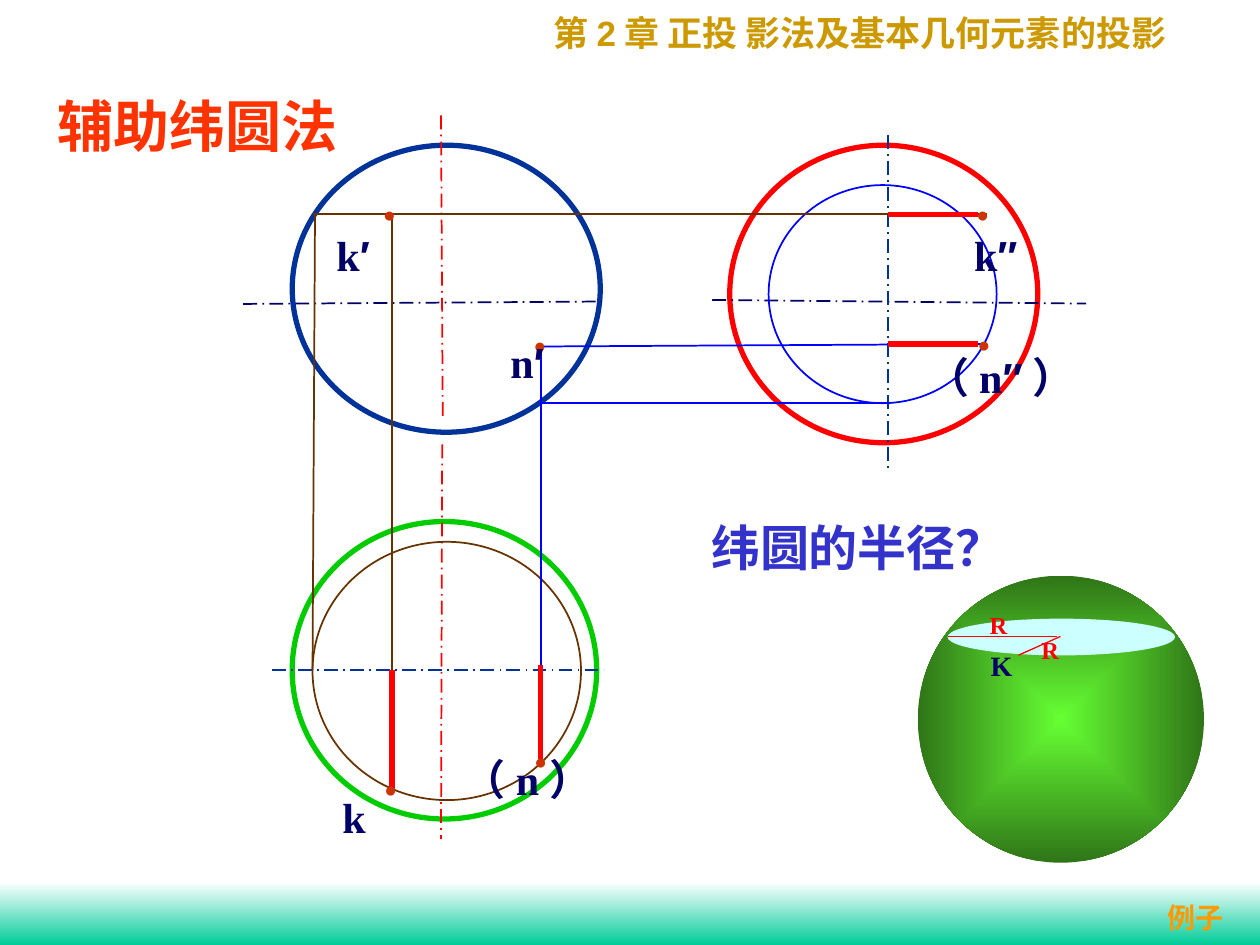
from lxml import etree
from pptx import Presentation
from pptx.dml.color import RGBColor
from pptx.enum.dml import MSO_LINE
from pptx.enum.shapes import MSO_CONNECTOR, MSO_SHAPE
from pptx.enum.text import MSO_ANCHOR, MSO_AUTO_SIZE, PP_ALIGN
from pptx.oxml.ns import qn
from pptx.util import Pt

STRAIGHT = MSO_CONNECTOR.STRAIGHT
OVAL, RECT = MSO_SHAPE.OVAL, MSO_SHAPE.RECTANGLE
DASH_DOT = MSO_LINE.LONG_DASH_DOT
LEFT, CENTER = PP_ALIGN.LEFT, PP_ALIGN.CENTER
TOP, MIDDLE = MSO_ANCHOR.TOP, MSO_ANCHOR.MIDDLE
NO_FIT = MSO_AUTO_SIZE.NONE

COLORS = {
    "white": "FFFFFF", "teal": "00CC99", "header": "CC9900", "title": "FF3300",
    "question": "3333CC", "example": "FF9900", "label": "000066", "point": "CC3300",
    "navy": "003399", "red": "FF0000", "green": "00CC00", "brown": "663300",
    "blue": "0000FF", "sphere_light": "66FF33", "sphere_dark": "2F7517",
    "latitude": "CCFFFF",
}
SERIF, SANS = "Times New Roman", "Arial"
PRIMES = "′″"


def rgb(name):
    return RGBColor.from_string(COLORS[name])


def add_line(slide, start, end, color, width=1.0, dash=None):
    line = slide.shapes.add_connector(STRAIGHT, *map(Pt, (*start, *end)))
    line.line.color.rgb = rgb(color)
    line.line.width = Pt(width)
    if dash is not None:
        line.line.dash_style = dash
    etree.SubElement(line._element.spPr, qn("a:effectLst"))


def add_plain_shape(slide, kind, box):
    """Add a preset shape without shadow, fill or line."""
    shape = slide.shapes.add_shape(kind, *map(Pt, box))
    shape.shadow.inherit = False
    shape.fill.background()
    shape.line.fill.background()
    return shape


def add_circle(slide, box, color, width):
    circle = add_plain_shape(slide, OVAL, box)
    circle.line.color.rgb = rgb(color)
    circle.line.width = Pt(width)


def fill_gradient(shape, first, last):
    shape.fill.gradient()
    for stop, color in zip(shape.fill.gradient_stops, (first, last)):
        stop.color.rgb = rgb(color)
    shape.fill.gradient_angle = 270


def format_text(frame, runs, size, color, align, anchor, wrap):
    """Fill a frame with one bold paragraph of (text, font) runs."""
    frame.word_wrap = wrap
    frame.auto_size = NO_FIT
    frame.vertical_anchor = anchor
    paragraph = frame.paragraphs[0]
    paragraph.alignment = align
    paragraph.font.size = Pt(size)
    paragraph.font.bold = True
    paragraph.font.color.rgb = rgb(color)
    paragraph.font.name = runs[0][1]
    for text, font in runs:
        run = paragraph.add_run()
        run.text = text
        if font != runs[0][1]:
            run.font.name = font


def add_text(slide, box, runs, size, color, align=CENTER, anchor=MIDDLE, wrap=True):
    text_box = slide.shapes.add_textbox(*map(Pt, box))
    format_text(text_box.text_frame, runs, size, color, align, anchor, wrap)


def add_point(slide, center, label, label_center):
    """Mark a projected point and put its letter at label_center."""
    x, y = center
    marker_box = slide.shapes.add_textbox(Pt(x - 13), Pt(y - 11), Pt(26), Pt(22))
    format_text(marker_box.text_frame, [("●", SANS)], 12, "point", CENTER, MIDDLE, False)
    marker_box.text_frame.paragraphs[0].font.bold = False
    x, y = label_center
    runs = [(c, SANS if c in PRIMES else SERIF) for c in label]
    add_text(slide, (x - 45, y - 18, 90, 36), runs, 24, "label", wrap=False)


def add_view(slide, box, color, axes, inner=None):
    """Draw a sphere outline, its axes and, if given, its latitude circle."""
    left, top, _, _ = box
    add_circle(slide, box, color, 3)
    for (x1, y1), (x2, y2), axis_color in axes:
        add_line(slide, (left + x1, top + y1), (left + x2, top + y2),
                 axis_color, dash=DASH_DOT)
    if inner:
        (x, y, width, height), inner_color = inner
        add_circle(slide, (left + x, top + y, width, height), inner_color, 1)


def add_projections(slide):
    front_k, front_n, side_axis, top_axis = 224, 309, 507.6, 383
    k_level, n_level, k_depth, n_depth = 122.4, 196.6, 451.5, 434
    for start, end, color in (
        ((178.6, k_level), (564, k_level), "brown"),
        ((front_k, k_level), (front_k, k_depth), "brown"),
        ((180, k_level), (178.6, top_axis), "brown"),
        ((front_n, 198), (564, n_level), "blue"),
        ((front_n, 198), (front_n, n_depth), "blue"),
        ((310, 230.4), (side_axis, 230.4), "blue"),
    ):
        add_line(slide, start, end, color)
    for start, end in (
        ((front_k, top_axis), (front_k, k_depth)),
        ((side_axis, k_level), (558.7, k_level)),
        ((front_n, 380), (front_n, n_depth)),
        ((side_axis, n_level), (558.7, n_level)),
    ):
        add_line(slide, start, end, "red", 3)
    for center, label, label_center in (
        ((222.5, 122.4), "k′", (201.8, 145.4)),
        ((223.2, 450.7), "k", (202.3, 466.6)),
        ((561.6, 122.4), "k″", (569, 145.4)),
        ((308.5, 197.3), "n′", (301.2, 206.6)),
        ((308.9, 434.9), "（n）", (301.5, 445)),
        ((562.3, 196.6), "（n″）", (572, 215)),
    ):
        add_point(slide, center, label, label_center)


def add_sphere(slide, left, top, width, height):
    sphere = add_plain_shape(slide, OVAL, (left, top, width, height))
    fill_gradient(sphere, "sphere_light", "sphere_dark")
    linear = sphere._element.spPr.find(".//" + qn("a:lin"))
    radial = etree.Element(qn("a:path"), {"path": "rect"})
    etree.SubElement(radial, qn("a:fillToRect"), dict.fromkeys("ltrb", "50000"))
    linear.getparent().replace(linear, radial)

    latitude = add_plain_shape(slide, OVAL, (left + 17, top + 24.5, 130, 21))
    latitude.fill.solid()
    latitude.fill.fore_color.rgb = rgb("latitude")
    for start, end in (((81.5, 34.7), (57.5, 45.4)), ((79.3, 34.7), (17, 34.7))):
        add_line(slide, (left + start[0], top + start[1]),
                 (left + end[0], top + end[1]), "red", 0.75)
    for text, x, y, size, color in (("R", 34, 16, 14, "red"),
                                    ("R", 63.5, 30.2, 14, "red"),
                                    ("K", 34.5, 38, 16, "label")):
        add_text(slide, (left + x, top + y, 39, 26), [(text, SERIF)], size, color,
                 LEFT, TOP)


def add_header_and_footer(slide):
    band = add_plain_shape(slide, RECT, (0, 504, 720, 36))
    fill_gradient(band, "white", "teal")
    add_text(slide, (309, 3, 381, 32),
             [("第", SERIF), ("2", SANS), ("章 正投 影法及基本几何元素的投影", SERIF)],
             20, "header", LEFT, TOP)
    add_text(slide, (649.5, 511, 67, 27), [("例子", SERIF)], 16, "example", anchor=TOP)


def add_title(slide, left, top, width, height):
    title = slide.shapes.title
    title.left, title.top, title.width, title.height = map(Pt, (left, top, width, height))
    format_text(title.text_frame, [("辅助纬圆法", SERIF)], 32, "title", CENTER, MIDDLE, False)


def main():
    deck = Presentation()
    deck.slide_width, deck.slide_height = Pt(720), Pt(540)
    slide = deck.slides.add_slide(deck.slide_layouts[5])
    add_header_and_footer(slide)
    add_title(slide, 25, 49, 176, 45)
    add_view(slide, (167, 83, 176, 164), "navy",
             [((-28, 90.7), (177, 89.3), "label"), ((85, -17), (86, 155), "red")])
    add_view(slide, (167, 298, 174, 170), "green",
             [((-11.5, 85), (178, 85), "navy"), ((85.7, -44), (85, 181.5), "red")],
             ((11.6, 11.6, 153.4, 147.6), "brown"))
    add_view(slide, (417, 83, 176, 170), "red",
             [((-10, 88.4), (203.6, 90.5), "label"), ((90.6, -6), (90.6, 187), "navy")],
             ((22.2, 22.8, 130.3, 124.6), "blue"))
    add_projections(slide)
    add_text(slide, (388, 292, 204.5, 41), [("纬圆的半径？", SERIF)], 28, "question")
    add_sphere(slide, 524.5, 329, 163.5, 164)
    deck.save("out.pptx")


if __name__ == "__main__":
    main()
